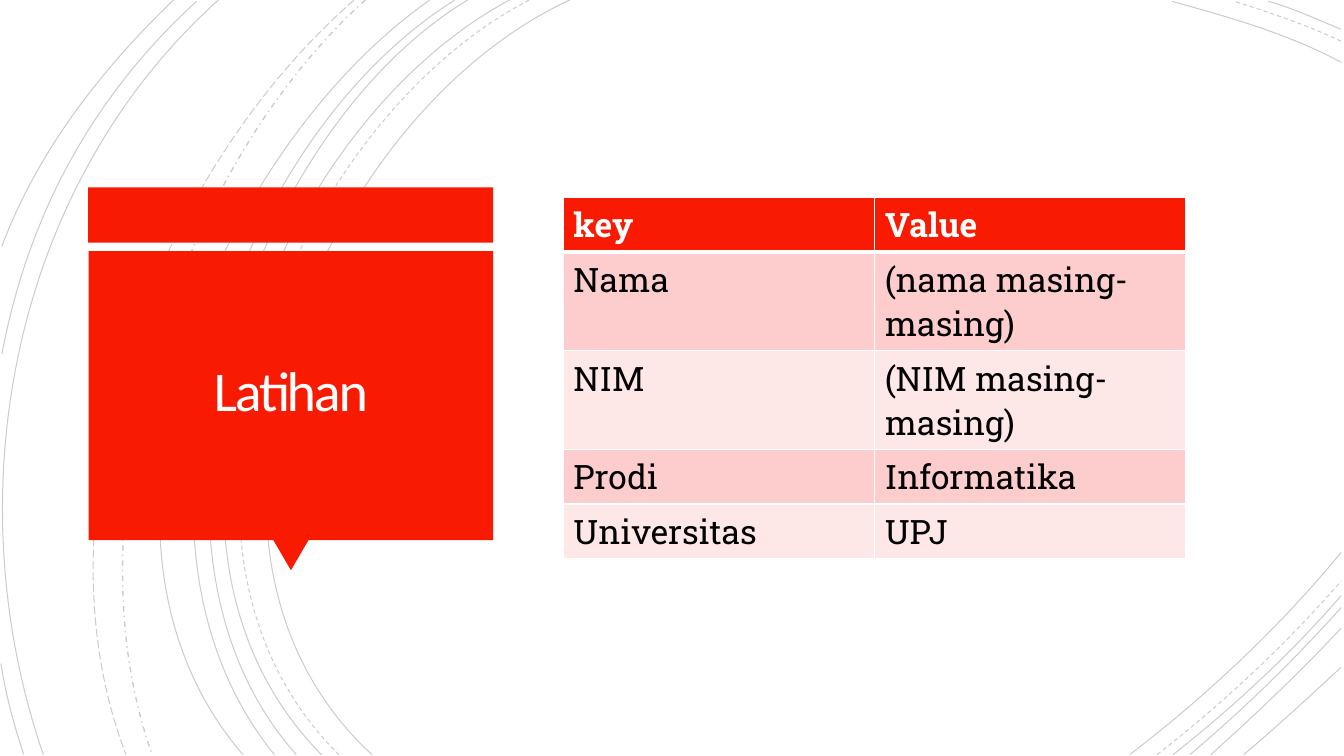
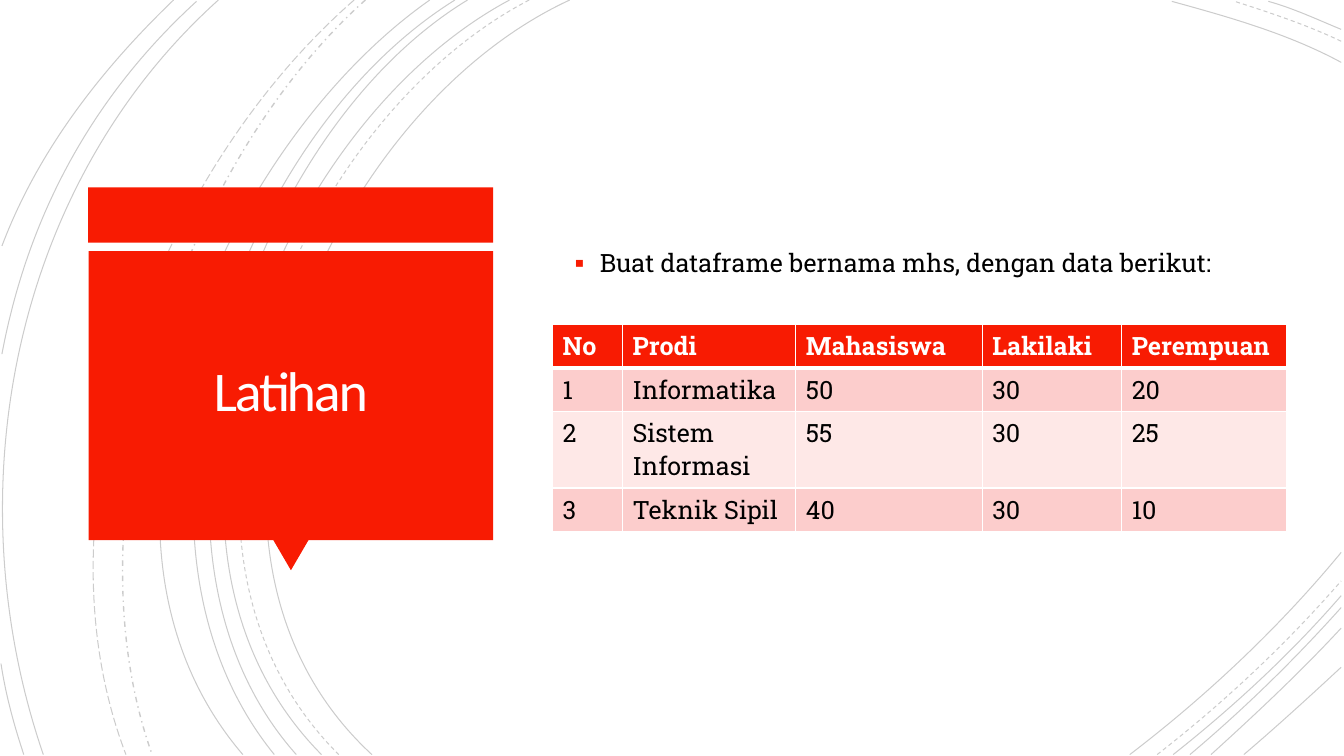
from lxml import etree
from pptx import Presentation
from pptx import util as u
from pptx.dml.color import RGBColor
from pptx.enum import dml, shapes, text
from pptx.oxml.ns import qn

COLORS = {"red": "F81B02", "title": "FFFEFF", "white": "FFFFFF", "black": "000000",
          "band_dark": "FCCDCC", "band_light": "FEE8E7"}
TITLE_FONT, BODY_FONT = "Calibri", "Roboto Slab"
SOLID, DASH = dml.MSO_LINE.SOLID, dml.MSO_LINE.DASH
DASH_DOT, LONG_DASH = dml.MSO_LINE.DASH_DOT, dml.MSO_LINE.LONG_DASH

SLIDES = [
    {"title": "Latihan", "size": 24, "at": (402.4, 141), "columns": [222.4, 222.4],
     "rows": [("key", "Value"),
              ("Nama", "(nama masing-masing)"),
              ("NIM", "(NIM masing-masing)"),
              ("Prodi", "Informatika"),
              ("Universitas", "UPJ")]},
    {"title": "Latihan", "task": "Buat dataframe bernama mhs, dengan data berikut:",
     "size": 18, "at": (394.7, 231.7), "columns": [50, 123.8, 133.2, 99.6, 118],
     "rows": [("No", "Prodi", "Mahasiswa", "Lakilaki", "Perempuan"),
              ("1", "Informatika", "50", "30", "20"),
              ("2", "Sistem Informasi", "55", "30", "25"),
              ("3", "Teknik Sipil", "40", "30", "10")]},
]
ROW_HEIGHT = 29.5
TITLE_BOX = (69.8, 185, 275.8, 193.7)
TASK_BOX = (403.2, 63.4, 494.6, 413.3)
TASK_BOTTOM_MARGIN = 173

ARCS = [
    (SOLID, [(407, 0), (227, 83), (103, 389), (265.7, 539)]),
    (SOLID, [(958, 44.6), (920, 24), (877, 12), (837, 1)]),
    (SOLID, [(807, 539), (862, 497), (914, 448), (958, 394.6)]),
    (DASH, [(378, 0), (205, 90), (89, 387), (242, 539)]),
    (DASH, [(958, 29.5), (934, 18), (907, 9), (882, 1)]),
    (DASH, [(826.6, 539), (873, 503), (918, 461), (958, 415)]),
    (SOLID, [(364, 0), (194, 91), (79, 387), (229.7, 539)]),
    (SOLID, [(958, 21), (941, 14), (924, 6), (906, 1)]),
    (SOLID, [(838, 539), (881, 505), (922, 467), (958, 425.5)]),
    (SOLID, [(334, 0), (176, 96), (79, 390), (211.7, 539)]),
    (SOLID, [(850, 539), (888, 507), (924, 472), (958, 434)]),
    (SOLID, [(325, 0), (166, 99), (70, 384), (196, 539)]),
    (SOLID, [(865, 539), (897, 510), (929, 480), (958, 448.6)]),
    (SOLID, [(307, 0), (156, 106), (38, 381), (173.5, 539)]),
    (SOLID, [(888.5, 539), (912, 519), (935, 498), (958, 476.6)]),
    (DASH_DOT, [(261, 0), (127, 120), (47, 366), (108.7, 539)]),
    (LONG_DASH, [(253, 0), (113, 122), (21, 359), (90, 539)]),
    (SOLID, [(156, 0), (8, 133), (-33, 353), (31, 539)]),
    (SOLID, [(140.4, 1), (66, 69), (20, 154), (1.4, 253)]),
    (SOLID, [(0.7, 474), (4, 496), (10, 518), (17, 539)]),
    (SOLID, [(124, 0), (72, 50), (27, 108), (1.4, 175.7)]),
]

PANEL = [
    (shapes.MSO_SHAPE.RECTANGLE, (63, 133.8, 289.2, 39.6), 0),
    (shapes.MSO_SHAPE.ISOSCELES_TRIANGLE, (195.2, 385.7, 25.2, 21.6), 180),
    (shapes.MSO_SHAPE.RECTANGLE, (63.4, 179.3, 288.8, 206.5), 0),
]


def rgb(name):
    return RGBColor.from_string(COLORS[name])


def place(shape, box):
    shape.left, shape.top, shape.width, shape.height = map(u.Pt, box)


def add_text(paragraph, words, font, size, color, bold=False):
    run = paragraph.add_run()
    run.text = words
    run.font.name, run.font.size, run.font.bold = font, u.Pt(size), bold
    run.font.color.rgb = rgb(color)
    return run


def bend(arc):
    segments = list(arc.element.iter(qn("a:lnTo")))
    curve = etree.Element(qn("a:cubicBezTo"))
    segments[0].addprevious(curve)
    for segment in segments:
        curve.append(segment[0])
        segment.getparent().remove(segment)


def draw_arc(slide, dash, controls):
    start, *rest = [(u.Pt(x), u.Pt(y)) for x, y in controls]
    builder = slide.shapes.build_freeform(*start)
    builder.add_line_segments(rest, close=False)
    arc = builder.convert_to_shape()
    bend(arc)
    arc.shadow.inherit = False
    arc.fill.background()
    arc.line.width = u.Pt(1 if dash == DASH_DOT else 0.75)
    arc.line.color.rgb = rgb("black")
    arc.line.dash_style = dash
    for color in arc.element.spPr.iter(qn("a:srgbClr")):
        etree.SubElement(color, qn("a:alpha"), val="20000")
    return arc


def draw_panel(slide, kind, box, rotation):
    part = slide.shapes.add_shape(kind, *map(u.Pt, box))
    part.rotation = rotation
    part.shadow.inherit = False
    part.fill.solid()
    part.fill.fore_color.rgb = rgb("red")
    part.line.fill.background()
    return part


def prepare_layout(layout):
    for placeholder in list(layout.placeholders):
        if placeholder.placeholder_format.idx >= 10:
            placeholder.element.getparent().remove(placeholder.element)
    heading = layout.placeholders[0]
    place(heading, TITLE_BOX)
    frame = heading.text_frame
    frame.auto_size = text.MSO_AUTO_SIZE.NONE
    frame.vertical_anchor = text.MSO_ANCHOR.MIDDLE
    frame.margin_left = frame.margin_right = u.Pt(18)
    frame.margin_top = frame.margin_bottom = u.Pt(18)


def decorate_layout(layout, slide):
    artwork = [draw_arc(slide, *arc) for arc in ARCS]
    artwork += [draw_panel(slide, *part) for part in PANEL]
    for part in artwork:
        layout.placeholders[0].element.addprevious(part.element)


def write_title(slide, words):
    paragraph = slide.shapes.title.text_frame.paragraphs[0]
    paragraph.alignment = text.PP_ALIGN.CENTER
    paragraph.line_spacing = 0.85
    run = add_text(paragraph, words, TITLE_FONT, 40, "title")
    run._r.get_or_add_rPr().set("spc", "-150")


def write_task(body, words):
    place(body, TASK_BOX)
    frame = body.text_frame
    frame.auto_size = text.MSO_AUTO_SIZE.NONE
    frame.vertical_anchor = text.MSO_ANCHOR.MIDDLE
    frame.margin_bottom = u.Pt(TASK_BOTTOM_MARGIN)
    paragraph = frame.paragraphs[0]
    paragraph.line_spacing = 1.2
    paragraph.space_before = u.Pt(10)
    add_text(paragraph, words, BODY_FONT, 18, "black")
    props = paragraph._p.get_or_add_pPr()
    props.set("marL", str(u.Pt(18)))
    props.set("indent", str(-u.Pt(18)))
    bullet_color = etree.SubElement(props, qn("a:buClr"))
    etree.SubElement(bullet_color, qn("a:srgbClr"), val=COLORS["red"])
    etree.SubElement(props, qn("a:buSzPct"), val="110000")
    etree.SubElement(props, qn("a:buChar"), char="▪")


def border_cell(cell, row):
    widths = {"L": 1, "R": 1, "T": 3 if row == 1 else 1, "B": 3 if row == 0 else 1}
    for side, width in widths.items():
        edge = etree.SubElement(cell._tc.get_or_add_tcPr(), qn(f"a:ln{side}"),
                                w=str(u.Pt(width)))
        fill = etree.SubElement(edge, qn("a:solidFill"))
        etree.SubElement(fill, qn("a:srgbClr"), val=COLORS["white"])


def draw_table(slide, content):
    rows, columns = content["rows"], content["columns"]
    box = (*content["at"], sum(columns), ROW_HEIGHT * len(rows))
    table = slide.shapes.add_table(len(rows), len(columns), *map(u.Pt, box)).table
    for column, width in zip(table.columns, columns):
        column.width = u.Pt(width)
    for r, values in enumerate(rows):
        header = r == 0
        shade = "red" if header else "band_dark" if r % 2 else "band_light"
        for c, value in enumerate(values):
            cell = table.cell(r, c)
            border_cell(cell, r)
            cell.fill.solid()
            cell.fill.fore_color.rgb = rgb(shade)
            add_text(cell.text_frame.paragraphs[0], value, BODY_FONT, content["size"],
                     "white" if header else "black", header)


def main():
    deck = Presentation()
    deck.slide_width, deck.slide_height = u.Pt(960), u.Pt(540)
    layout = deck.slide_layouts[1]
    prepare_layout(layout)
    for number, content in enumerate(SLIDES):
        slide = deck.slides.add_slide(layout)
        if number == 0:
            decorate_layout(layout, slide)
        write_title(slide, content["title"])
        body = slide.placeholders[1]
        if "task" in content:
            write_task(body, content["task"])
        else:
            body.element.getparent().remove(body.element)
        draw_table(slide, content)
    deck.save("out.pptx")


if __name__ == "__main__":
    main()
